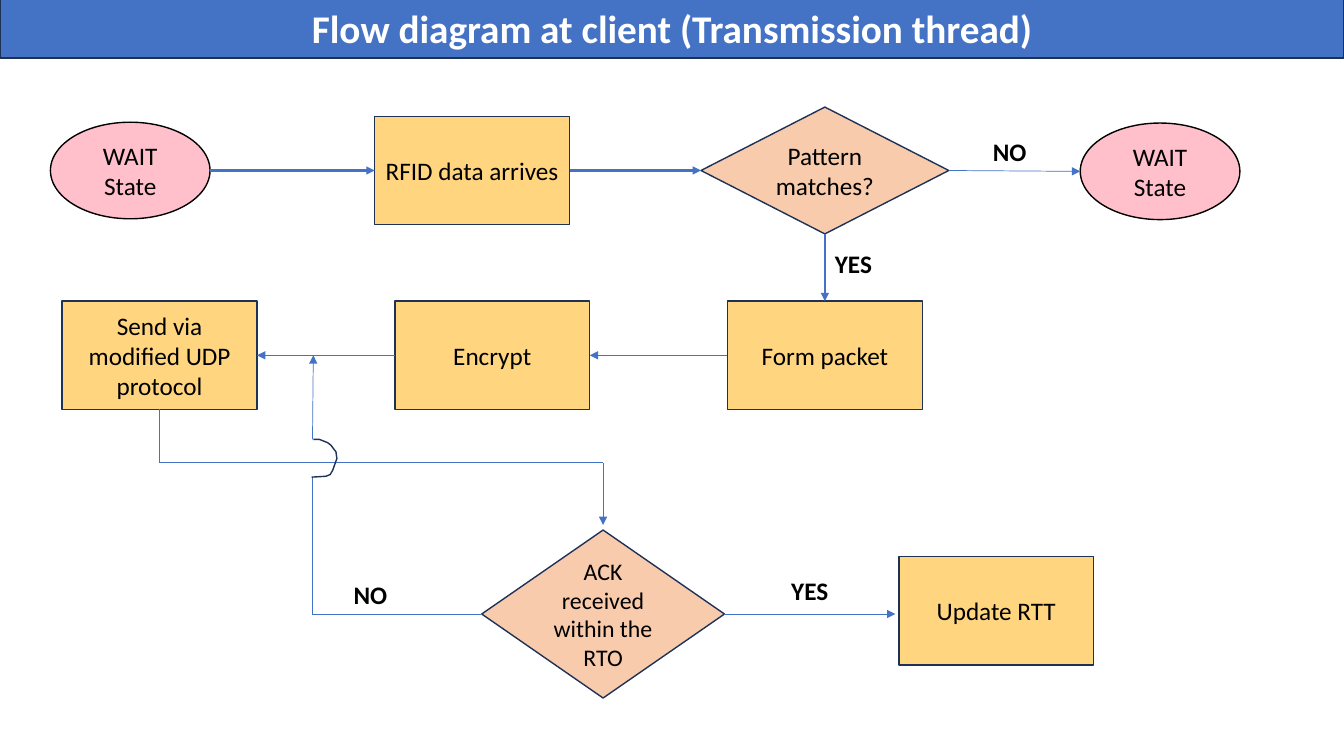
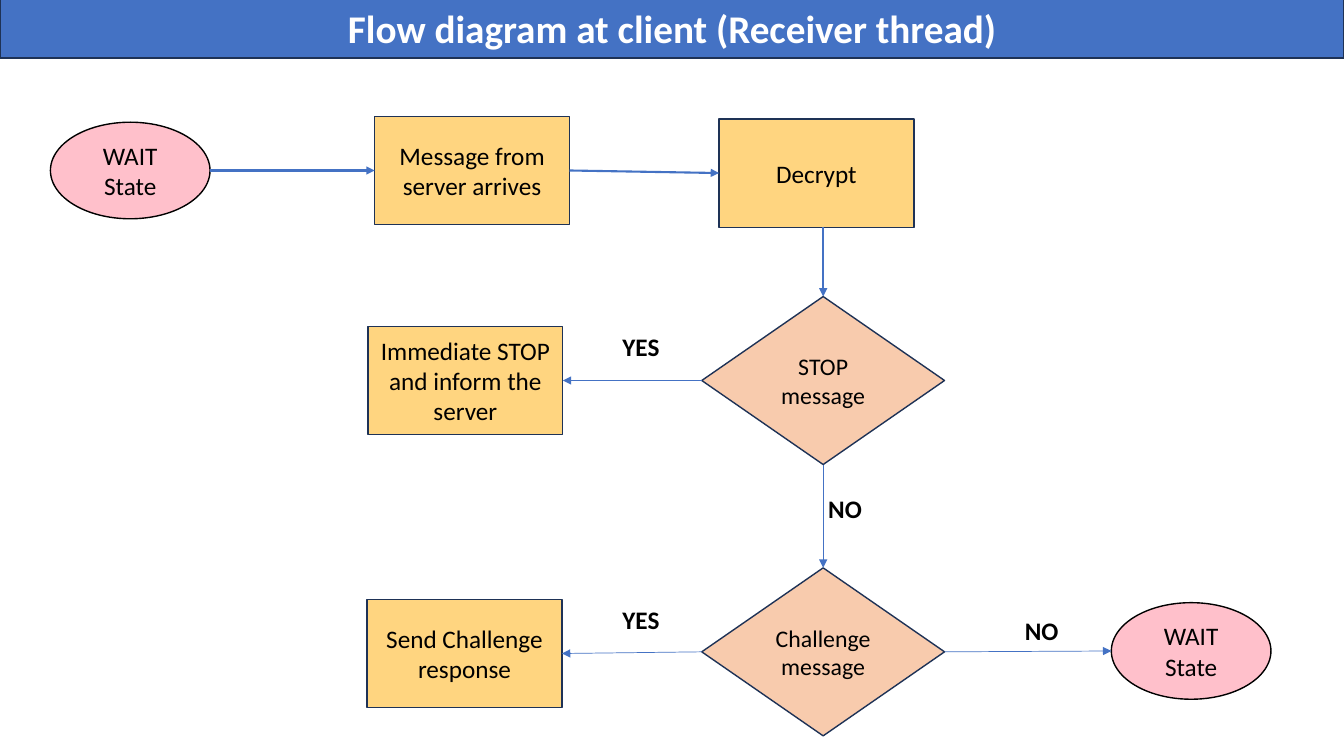
from itertools import pairwise

from lxml.etree import SubElement
from pptx import Presentation
from pptx.dml.color import RGBColor
from pptx.enum.shapes import MSO_CONNECTOR, MSO_SHAPE
from pptx.enum.text import MSO_ANCHOR, MSO_AUTO_SIZE, PP_ALIGN
from pptx.oxml.ns import qn
from pptx.util import Inches, Pt

COLS, ROWS = 160, 90
FONT = "Calibri"
THIN, THICK = 0.5, 1.5
TOP, LEFT, BOTTOM, RIGHT = range(4)
COLORS = {
    "band": "4472C4", "edge": "1E3256", "state": "FFC0CB", "step": "FFD580",
    "test": "F8CBAD", "text": "000000", "title": "FFFFFF",
}
NODES = {
    "state": (MSO_SHAPE.OVAL, 19, 11.5, "state", "text", 18),
    "step": (MSO_SHAPE.RECTANGLE, 23.2, 12.9, "step", "edge", 18),
    "match": (MSO_SHAPE.DIAMOND, 29.5, 15.1, "test", "edge", 18),
    "check": (MSO_SHAPE.DIAMOND, 28.9, 20, "test", "edge", 17),
}


class FlowDeck:
    """Draws flow diagrams on a grid of 160 columns by 90 rows."""

    def __init__(self):
        self.prs = Presentation()
        self.prs.slide_width = Inches(13.33)
        self.prs.slide_height = Inches(7.5)
        self.slide = None

    def x(self, col):
        return round(self.prs.slide_width * col / COLS)

    def y(self, row):
        return round(self.prs.slide_height * row / ROWS)

    def box(self, cx, cy, w, h):
        return self.x(cx - w / 2), self.y(cy - h / 2), self.x(w), self.y(h)

    def color(self, name):
        return RGBColor.from_string(COLORS[name])

    def paint(self, sp, fill, line):
        sp.fill.solid()
        sp.fill.fore_color.rgb = self.color(fill)
        self.outline(sp, line)

    def outline(self, sp, line):
        sp.line.color.rgb = self.color(line)
        sp.line.width = Pt(1)

    def set_text(self, sp, text, size, color="text", bold=False, wrap=True):
        tf = sp.text_frame
        tf.text = text
        tf.word_wrap = wrap
        tf.auto_size = MSO_AUTO_SIZE.NONE
        tf.vertical_anchor = MSO_ANCHOR.MIDDLE
        for p in tf.paragraphs:
            p.alignment = PP_ALIGN.CENTER
            p.font.name, p.font.size, p.font.bold = FONT, Pt(size), bold
            p.font.color.rgb = self.color(color)

    def new_slide(self, title):
        self.slide = self.prs.slides.add_slide(self.prs.slide_layouts[5])
        sp = self.slide.shapes.title
        sp.left, sp.top, sp.width, sp.height = self.x(0), self.y(-0.2), self.x(COLS), self.y(7.1)
        self.paint(sp, "band", "edge")
        self.set_text(sp, title, 28, "title", bold=True)

    def node(self, kind, text, cx, cy):
        preset, w, h, fill, line, size = NODES[kind]
        sp = self.slide.shapes.add_shape(preset, *self.box(cx, cy, w, h))
        sp.shadow.inherit = False
        self.paint(sp, fill, line)
        self.set_text(sp, text, size)
        return sp

    def label(self, text, cx, cy):
        sp = self.slide.shapes.add_textbox(*self.box(cx, cy, 6.8, 4.8))
        self.set_text(sp, text, 18, bold=True, wrap=False)

    def point(self, end):
        if isinstance(end[0], (int, float)):
            return self.x(end[0]), self.y(end[1])
        sp, side = end
        dx, dy = ((0.5, 0), (0, 0.5), (0.5, 1), (1, 0.5))[side]
        return round(sp.left + sp.width * dx), round(sp.top + sp.height * dy)

    def attach(self, connect, end):
        if isinstance(end[0], (int, float)):
            return
        if end[0].auto_shape_type != MSO_SHAPE.OVAL:
            connect(*end)

    def link(self, *ends, weight=THIN, arrow=True):
        for start, stop in pairwise(ends):
            cx = self.slide.shapes.add_connector(
                MSO_CONNECTOR.STRAIGHT, *self.point(start), *self.point(stop))
            self.attach(cx.begin_connect, start)
            self.attach(cx.end_connect, stop)
            cx.line.color.rgb = self.color("band")
            cx.line.width = Pt(weight)
            props = cx.element.spPr
            if arrow and stop is ends[-1]:
                SubElement(props.find(qn("a:ln")), qn("a:tailEnd"), type="triangle")
            SubElement(props, qn("a:effectLst"))

    def curve(self, points):
        start, *rest = [self.point(p) for p in points]
        fb = self.slide.shapes.build_freeform(*start)
        fb.add_line_segments(rest, close=False)
        sp = fb.convert_to_shape()
        sp.shadow.inherit = False
        sp.fill.background()
        self.outline(sp, "edge")

    def start(self, event):
        wait = self.node("state", "WAIT\nState", 15.5, 20.3)
        first = self.node("step", event, 56.2, 20.3)
        self.link((wait, RIGHT), (first, LEFT), weight=THICK)
        return first


def transmission(deck):
    deck.new_slide("Flow diagram at client (Transmission thread)")
    arrives = deck.start("RFID data arrives")
    match = deck.node("match", "Pattern matches?", 98.2, 20.3)
    wait = deck.node("state", "WAIT\nState", 138.1, 20.4)
    names = ("Send via modified UDP protocol", "Encrypt", "Form packet")
    send, encrypt, form = [
        deck.node("step", name, 19 + 39.6 * i, 42.3) for i, name in enumerate(names)]
    ack = deck.node("check", "ACK received within the RTO", 71.8, 73.1)
    deck.node("step", "Update RTT", 118.6, 72.7)

    deck.link((arrives, RIGHT), (match, LEFT), weight=THICK)
    deck.link((match, BOTTOM), (form, TOP), weight=THICK)
    deck.link((match, RIGHT), (wait, LEFT))
    deck.link((form, LEFT), (encrypt, RIGHT))
    deck.link((encrypt, LEFT), (send, RIGHT))
    deck.link((send, BOTTOM), (19, 55.1), (71.8, 55.1), (71.8, 62.5))
    deck.link((ack, RIGHT), (106.6, 73.1))
    deck.link((ack, LEFT), (37.2, 73.1), (37.2, 56.8), arrow=False)
    deck.curve([
        (37.1, 56.8), (38.8, 56.7), (39.3, 56.5), (39.6, 56), (40.1, 54.6),
        (40, 53.8), (39.4, 53), (39, 52.7), (38, 52.3), (37.3, 52.3)])
    deck.link((37.2, 52.3), (37.3, 42.3))

    deck.label("YES", 101.6, 31.4)
    deck.label("NO", 120.2, 18)
    deck.label("NO", 44.1, 70.8)
    deck.label("YES", 96.4, 70.3)


def receiver(deck):
    deck.new_slide("Flow diagram at client (Receiver thread)")
    arrives = deck.start("Message from server arrives")
    decrypt = deck.node("step", "Decrypt", 97.2, 20.6)
    stop = deck.node("check", "STOP message", 98, 45.3)
    inform = deck.node("step", "Immediate STOP and inform the server", 55.4, 45.3)
    challenge = deck.node("check", "Challenge message", 98, 77.6)
    respond = deck.node("step", "Send Challenge response", 55.3, 77.8)
    wait = deck.node("state", "WAIT\nState", 141.8, 77.5)

    deck.link((arrives, RIGHT), (decrypt, LEFT), weight=THICK)
    deck.link((98, 27), (stop, TOP), weight=THICK)
    deck.link((stop, LEFT), (inform, RIGHT))
    deck.link((stop, BOTTOM), (challenge, TOP))
    deck.link((challenge, LEFT), (respond, RIGHT))
    deck.link((challenge, RIGHT), (wait, LEFT))

    deck.label("YES", 76.3, 41.3)
    deck.label("NO", 100.6, 60.5)
    deck.label("YES", 76.3, 73.8)
    deck.label("NO", 124, 75.1)


def main():
    deck = FlowDeck()
    transmission(deck)
    receiver(deck)
    deck.prs.save("out.pptx")


if __name__ == "__main__":
    main()
